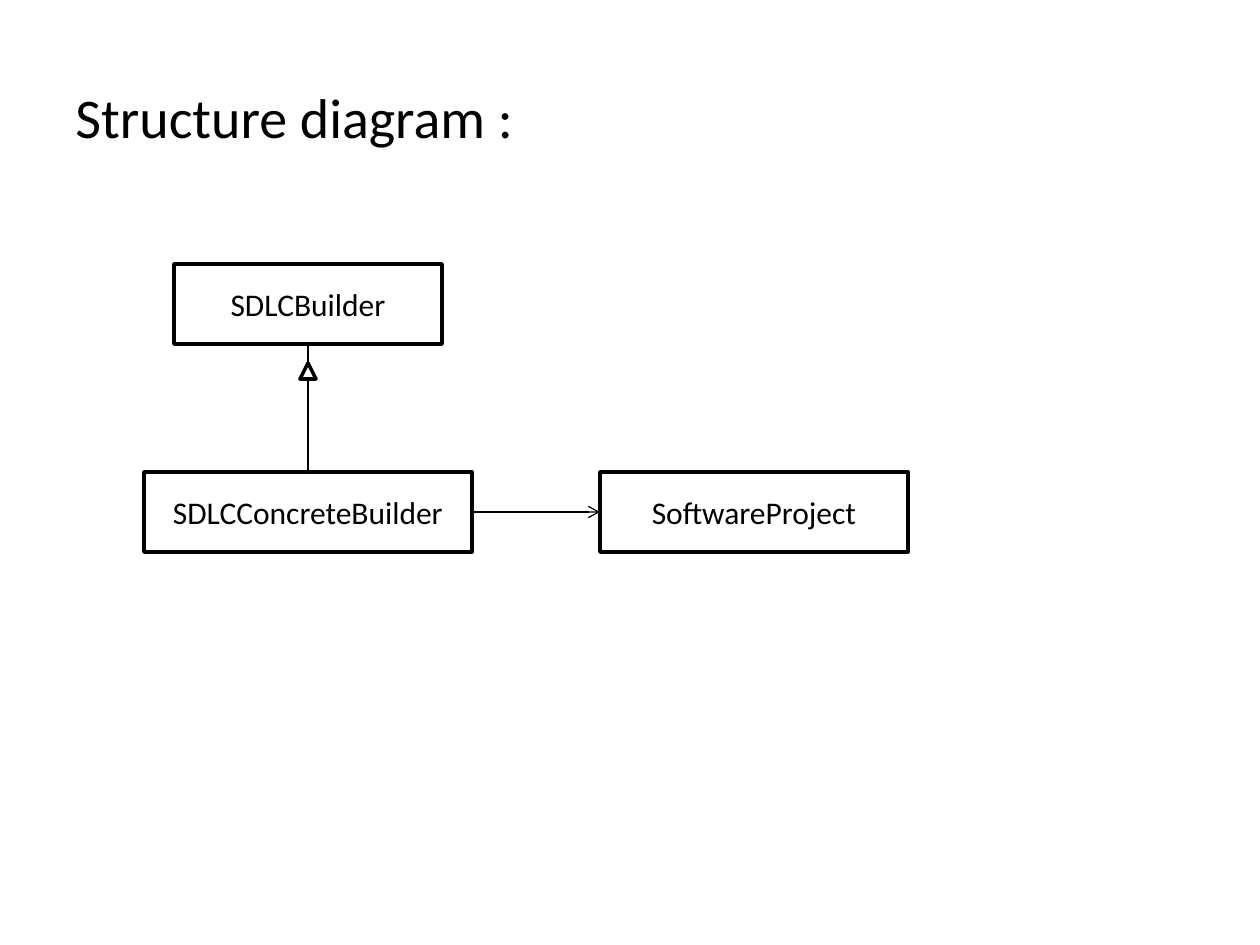
from dataclasses import dataclass

import pptx
import pptx.dml.color
import pptx.enum.shapes
import pptx.enum.text
import pptx.oxml.ns
import pptx.util
from lxml import etree

EMU_PER_PX = 914400 / 126
FONT = "Calibri"
BLACK = "000000"
WHITE = "FFFFFF"
TOP, LEFT, BOTTOM, RIGHT = range(4)


@dataclass
class ClassBox:
    name: str
    left: int
    top: int
    width: int
    height: int = 80


BUILDER = ClassBox("SDLCBuilder", 174, 264, 268)
CONCRETE_BUILDER = ClassBox("SDLCConcreteBuilder", 144, 472, 328)
PROJECT = ClassBox("SoftwareProject", 600, 472, 308)


def px(length: int) -> int:
    return round(length * EMU_PER_PX)


def color(value: str) -> pptx.dml.color.RGBColor:
    return pptx.dml.color.RGBColor.from_string(value)


def add_run(paragraph, text: str, size: int) -> None:
    run = paragraph.add_run()
    run.text = text
    run.font.name = FONT
    run.font.size = pptx.util.Pt(size)
    run.font.color.rgb = color(BLACK)


def add_outlined_shape(slide, kind, left: int, top: int, width: int, height: int):
    shape = slide.shapes.add_shape(kind, px(left), px(top), px(width), px(height))
    shape.shadow.inherit = False
    shape.fill.solid()
    shape.fill.fore_color.rgb = color(WHITE)
    shape.line.color.rgb = color(BLACK)
    shape.line.width = pptx.util.Pt(2)
    return shape


def add_class_box(slide, box: ClassBox):
    shape = add_outlined_shape(slide, pptx.enum.shapes.MSO_SHAPE.RECTANGLE,
                               box.left, box.top, box.width, box.height)
    frame = shape.text_frame
    frame.word_wrap = True
    frame.vertical_anchor = pptx.enum.text.MSO_ANCHOR.MIDDLE
    paragraph = frame.paragraphs[0]
    paragraph.alignment = pptx.enum.text.PP_ALIGN.CENTER
    add_run(paragraph, box.name, 18)
    return shape


def add_link(slide, start, start_side: int, end, end_side: int, arrow: bool = False) -> None:
    connector = slide.shapes.add_connector(
        pptx.enum.shapes.MSO_CONNECTOR.STRAIGHT, 0, 0, 0, 0)
    connector.begin_connect(start, start_side)
    connector.end_connect(end, end_side)
    connector.line.color.rgb = color(BLACK)
    connector.line.width = pptx.util.Pt(0.75)
    if arrow:
        line = connector.line._get_or_add_ln()
        etree.SubElement(line, pptx.oxml.ns.qn("a:tailEnd"), type="arrow")
    properties = connector._element.spPr
    etree.SubElement(properties, pptx.oxml.ns.qn("a:effectLst"))


def main() -> None:
    presentation = pptx.Presentation()
    presentation.slide_width = px(1260)
    presentation.slide_height = px(945)
    slide = presentation.slides.add_slide(presentation.slide_layouts[6])

    # Heading
    heading = slide.shapes.add_textbox(px(63), px(76), px(1063), px(725))
    heading.text_frame.word_wrap = True
    add_run(heading.text_frame.paragraphs[0], "Structure diagram :", 32)

    # Classes
    builder, concrete_builder, project = [
        add_class_box(slide, box) for box in (BUILDER, CONCRETE_BUILDER, PROJECT)]

    # Inheritance, with its hollow triangle centred on the line
    add_link(slide, builder, BOTTOM, concrete_builder, TOP)
    size = 16
    triangle = add_outlined_shape(
        slide, pptx.enum.shapes.MSO_SHAPE.FLOWCHART_MERGE,
        BUILDER.left + (BUILDER.width - size) // 2, 363, size, size)
    triangle.rotation = 180

    # Association
    add_link(slide, concrete_builder, RIGHT, project, LEFT, arrow=True)

    presentation.save("out.pptx")


if __name__ == "__main__":
    main()
